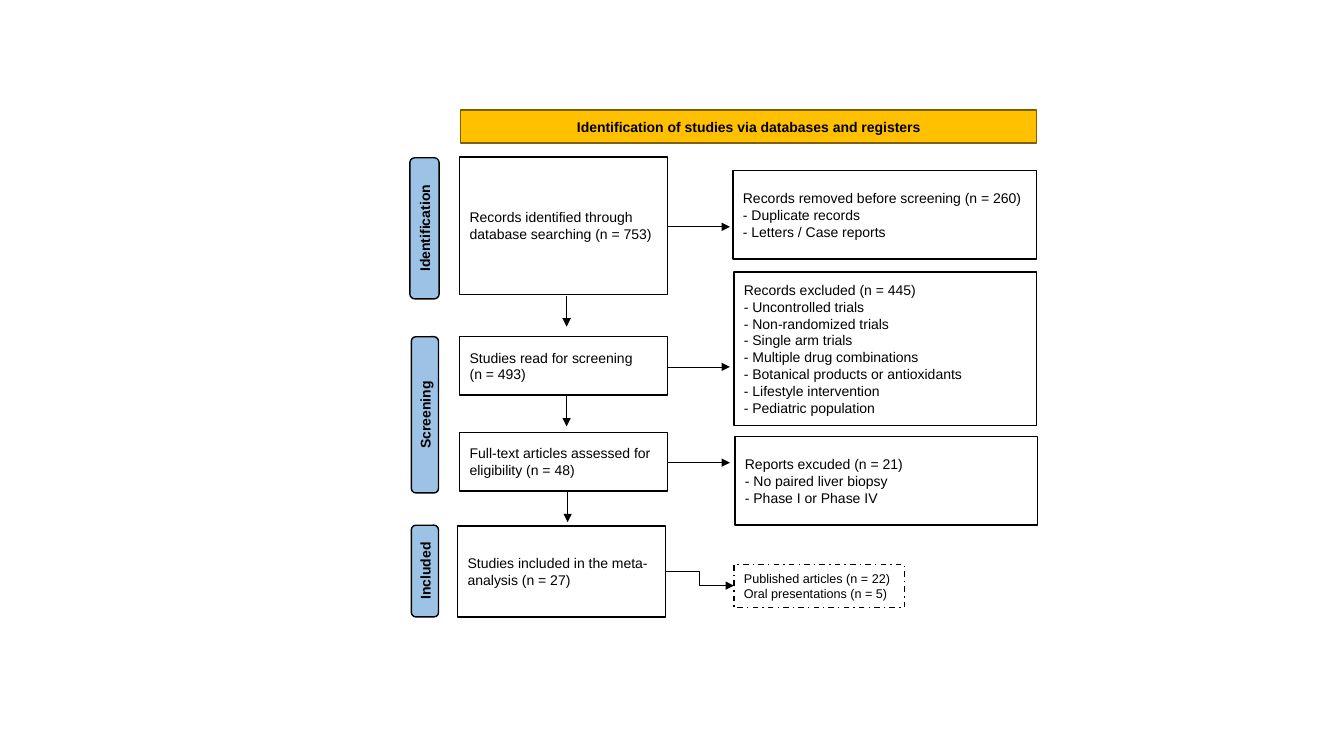
"""Build a study selection flow diagram on one slide."""
from dataclasses import dataclass

from lxml import etree
from pptx import Presentation
from pptx.dml.color import RGBColor
from pptx.enum.dml import MSO_LINE
from pptx.enum.shapes import MSO_CONNECTOR, MSO_SHAPE
from pptx.enum.text import MSO_ANCHOR, MSO_AUTO_SIZE, PP_ALIGN
from pptx.oxml.ns import qn
from pptx.shapes.autoshape import Shape
from pptx.slide import Slide
from pptx.util import Pt

PX = 9144
FONT = "Arial"
BLACK = RGBColor(0x00, 0x00, 0x00)
AMBER = RGBColor(0xFF, 0xC0, 0x00)
BROWN = RGBColor(0x7F, 0x5F, 0x00)
BLUE = RGBColor(0x9C, 0xC2, 0xE5)
RECTANGLE = MSO_SHAPE.RECTANGLE
ROUNDED = MSO_SHAPE.FLOWCHART_ALTERNATE_PROCESS
STRAIGHT = MSO_CONNECTOR.STRAIGHT
ELBOW = MSO_CONNECTOR.ELBOW
DASH_DOT = MSO_LINE.DASH_DOT
LEFT = PP_ALIGN.LEFT
CENTER = PP_ALIGN.CENTER
MIDDLE = MSO_ANCHOR.MIDDLE
NO_AUTOFIT = MSO_AUTO_SIZE.NONE


@dataclass(frozen=True)
class Step:
    """A bordered box of text lines."""

    left: int
    top: int
    width: int
    height: int
    lines: tuple[str, ...]
    size: int = 10
    dashed: bool = False


@dataclass(frozen=True)
class Phase:
    """A label turned to read upwards, measured before turning."""

    left: int
    top: int
    width: int
    height: int
    name: str


@dataclass(frozen=True)
class Arrow:
    """A connector with a head at its end."""

    start_x: int
    start_y: int
    end_x: int
    end_y: int
    kind: MSO_CONNECTOR = STRAIGHT


HEADING = "Identification of studies via databases and registers"
STEPS = (
    Step(456, 156, 206, 136, ("Records identified through database searching (n = 753)",)),
    Step(456, 334, 206, 58, ("Studies read for screening", "(n = 493)")),
    Step(456, 429, 206, 58, ("Full-text articles assessed for eligibility (n = 48)",)),
    Step(454, 522, 206, 90, ("Studies included in the meta-analysis (n = 27)",)),
    Step(727, 169, 301, 88, (
        "Records removed before screening (n = 260)",
        "- Duplicate records",
        "- Letters / Case reports",
    )),
    Step(728, 270, 300, 152, (
        "Records excluded (n = 445)",
        "- Uncontrolled trials",
        "- Non-randomized trials",
        "- Single arm trials",
        "- Multiple drug combinations",
        "- Botanical products or antioxidants",
        "- Lifestyle intervention",
        "- Pediatric population",
    )),
    Step(729, 433, 300, 88, (
        "Reports excuded (n = 21)",
        "- No paired liver biopsy",
        "- Phase I or Phase IV",
    )),
    Step(728, 560, 169, 43, (
        "Published articles (n = 22)",
        "Oral presentations (n = 5)",
    ), size=9, dashed=True),
)
PHASES = (
    Phase(351, 212, 140, 29, "Identification"),
    Phase(344, 398, 155, 27, "Screening"),
    Phase(376, 553, 91, 27, "Included"),
)
ARROWS = (
    *(Arrow(663, y, 724, y) for y in (225, 364, 459)),
    Arrow(562, 294, 562, 324),
    Arrow(562, 392, 562, 423),
    Arrow(563, 487, 563, 518),
    Arrow(660, 567, 728, 581, ELBOW),
)


def write_lines(box: Shape, lines: tuple[str, ...], size: int, align: PP_ALIGN, bold: bool) -> None:
    """Write one paragraph per line, centred vertically."""
    frame = box.text_frame
    frame.word_wrap = True
    frame.auto_size = NO_AUTOFIT
    frame.vertical_anchor = MIDDLE
    for index, line in enumerate(lines):
        para = frame.add_paragraph() if index else frame.paragraphs[0]
        para.alignment = align
        span = para.add_run()
        span.text = line
        span.font.name = FONT
        span.font.size = Pt(size)
        span.font.bold = bold
        span.font.color.rgb = BLACK


def paint(box: Shape, fill: RGBColor | None, line: RGBColor) -> None:
    """Set the fill and a one point outline, without a shadow."""
    if fill is None:
        box.fill.background()
    else:
        box.fill.solid()
        box.fill.fore_color.rgb = fill
    box.line.color.rgb = line
    box.line.width = Pt(1)
    box.shadow.inherit = False


def draw_heading(page: Slide) -> None:
    """Turn the title placeholder into the rounded banner."""
    box = page.shapes.title
    box.left, box.top, box.width, box.height = (n * PX for n in (457, 109, 571, 33))
    outline = etree.SubElement(box.element.spPr, qn("a:prstGeom"), prst="flowChartAlternateProcess")
    etree.SubElement(outline, qn("a:avLst"))
    paint(box, AMBER, BROWN)
    write_lines(box, (HEADING,), 10, CENTER, True)


def draw_step(page: Slide, step: Step) -> None:
    """Draw a box of the flow."""
    box = page.shapes.add_shape(
        RECTANGLE, step.left * PX, step.top * PX, step.width * PX, step.height * PX)
    paint(box, None, BLACK)
    if step.dashed:
        box.line.dash_style = DASH_DOT
    write_lines(box, step.lines, step.size, LEFT, False)


def draw_phase(page: Slide, phase: Phase) -> None:
    """Draw a phase label along the left side."""
    box = page.shapes.add_shape(
        ROUNDED, phase.left * PX, phase.top * PX, phase.width * PX, phase.height * PX)
    box.rotation = 270
    paint(box, BLUE, BLACK)
    write_lines(box, (phase.name,), 10, CENTER, True)


def draw_arrow(page: Slide, arrow: Arrow) -> None:
    """Draw a thin connector with a triangular head."""
    connector = page.shapes.add_connector(
        arrow.kind, arrow.start_x * PX, arrow.start_y * PX, arrow.end_x * PX, arrow.end_y * PX)
    connector.line.color.rgb = BLACK
    connector.line.width = Pt(0.5)
    etree.SubElement(connector.line._get_or_add_ln(), qn("a:tailEnd"), type="triangle")
    etree.SubElement(connector.element.spPr, qn("a:effectLst"))


def main() -> None:
    """Assemble and save the deck."""
    deck = Presentation()
    deck.slide_width, deck.slide_height = 1333 * PX, 750 * PX
    page = deck.slides.add_slide(deck.slide_layouts[5])
    draw_heading(page)
    for step in STEPS:
        draw_step(page, step)
    for phase in PHASES:
        draw_phase(page, phase)
    for arrow in ARROWS:
        draw_arrow(page, arrow)
    deck.save("out.pptx")


if __name__ == "__main__":
    main()
